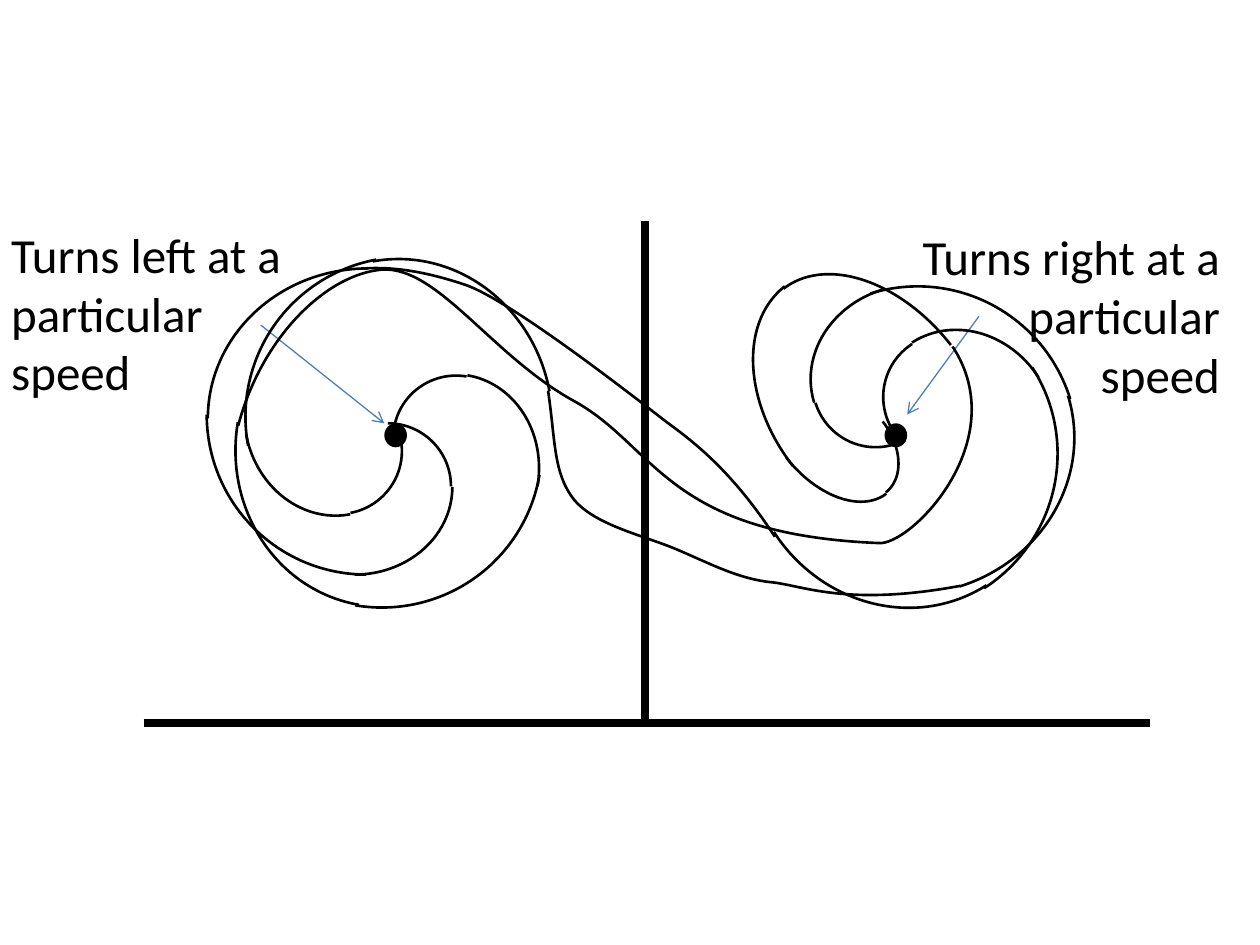
from dataclasses import dataclass
from math import cos, radians, sin

from lxml import etree
from pptx import Presentation
from pptx.dml.color import RGBColor
from pptx.enum.shapes import MSO_CONNECTOR, MSO_SHAPE
from pptx.enum.text import MSO_AUTO_SIZE, PP_ALIGN
from pptx.oxml.ns import qn
from pptx.util import Emu, Pt

ARC, OVAL = MSO_SHAPE.ARC, MSO_SHAPE.OVAL
STRAIGHT = MSO_CONNECTOR.STRAIGHT
LEFT, RIGHT = PP_ALIGN.LEFT, PP_ALIGN.RIGHT
FIT_TEXT = MSO_AUTO_SIZE.SHAPE_TO_FIT_TEXT

EMU_PER_PX = 9144  # 100 px to the inch

# Quarter arcs of a spiral: centre offset from the first arc, then size
SPIRAL_ARCS = [
    (0, 0, 100, 100),
    (-26.5, 0.5, 139, 155),
    (-17.5, -57, 253, 254),
    (-16, -54, 238, 254),
]

# Each path: two spirals (centre x, y, turn, flipped, stretch),
# then the size and the cubic points of the curve that joins them
PATHS = [
    ([(751, 315, 57.2, True, (1, 1)), (308, 386, 0, False, (1, 1))],
     (325, 213),
     [(290, 213), (309, 212), (333, 214), (369, 226), (405, 238), (507, 318),
      (529, 335), (551, 351), (581, 374), (615, 426)]),
    ([(269, 358, 79.4, False, (1, 1)), (695, 305, 342.7, True, (1, 1))],
     (327, 162),
     [(435, 310), (441, 350), (439, 376), (456, 397), (473, 417), (511, 425),
      (537, 436), (563, 447), (585, 459), (611, 462), (636, 464), (670, 482),
      (762, 465)]),
    ([(362, 348, 279.6, False, (1, 1)), (675, 354.5, 232.1, True, (0.92, 0.65))],
     (582, 217),
     [(189, 338), (207, 269), (258, 218), (303, 214), (347, 211), (390, 282),
      (455, 318), (521, 354), (528, 424), (697, 431), (722, 434), (805, 350),
      (756, 275)]),
]


@dataclass(frozen=True)
class Theme:
    ink: RGBColor = RGBColor(0x00, 0x00, 0x00)
    arrow: RGBColor = RGBColor(0x4B, 0x7E, 0xBC)
    font: str = "Calibri"
    label_size: float = 28
    axis_width: float = 4.5
    path_width: float = 1.5
    arrow_width: float = 0.75


def px(value):
    return Emu(round(value * EMU_PER_PX))


class Diagram:
    def __init__(self, slide, theme):
        self.shapes = slide.shapes
        self.theme = theme

    def line(self, start, end, color, width, arrow=False):
        connector = self.shapes.add_connector(STRAIGHT, *map(px, start + end))
        connector.line.color.rgb = color
        connector.line.width = Pt(width)
        if arrow:
            etree.SubElement(connector.line._get_or_add_ln(), qn("a:tailEnd"), type="arrow")
        etree.SubElement(connector._element.spPr, qn("a:effectLst"))

    def axis(self, start, end):
        self.line(start, end, self.theme.ink, self.theme.axis_width)

    def arrow(self, start, end):
        self.line(start, end, self.theme.arrow, self.theme.arrow_width, arrow=True)

    def dot(self, left, top, width, height):
        shape = self.shapes.add_shape(OVAL, *map(px, (left, top, width, height)))
        shape.shadow.inherit = False
        shape.fill.solid()
        shape.fill.fore_color.rgb = self.theme.ink
        shape.line.fill.background()

    def label(self, text, left, top, width, height, align):
        box = self.shapes.add_textbox(*map(px, (left, top, width, height)))
        frame = box.text_frame
        frame.word_wrap = True
        frame.auto_size = FIT_TEXT
        frame.text = text
        paragraph = frame.paragraphs[0]
        paragraph.alignment = align
        font = paragraph.runs[0].font
        font.name = self.theme.font
        font.size = Pt(self.theme.label_size)
        font.color.rgb = self.theme.ink

    def outline(self, shape):
        shape.shadow.inherit = False
        shape.fill.background()
        shape.line.color.rgb = self.theme.ink
        shape.line.width = Pt(self.theme.path_width)

    def spiral(self, center_x, center_y, turn, flipped, stretch):
        """Draw quarter arcs, each a further 90 degrees round, turned as a whole."""
        group = self.shapes.add_group_shape()
        stretch_x, stretch_y = stretch
        angle = radians(turn + 180 * flipped)
        for index, (offset_x, offset_y, width, height) in enumerate(SPIRAL_ARCS):
            dx, dy = offset_x * stretch_x, offset_y * stretch_y
            across, down = (stretch_y, stretch_x) if index % 2 else (stretch_x, stretch_y)
            width, height = width * across, height * down
            left = center_x + dx * cos(angle) - dy * sin(angle) - width / 2
            top = center_y + dx * sin(angle) + dy * cos(angle) - height / 2
            arc = group.shapes.add_shape(ARC, *map(px, (left, top, width, height)))
            arc.rotation = (turn + 90 * index) % 360
            if flipped:
                for side in ("flipH", "flipV"):
                    arc._element.spPr.find(qn("a:xfrm")).set(side, "1")
            self.outline(arc)

    def curve(self, size, points):
        """Build a freeform through the end points, then make its segments cubic."""
        builder = self.shapes.build_freeform(*map(px, points[0]))
        builder.add_line_segments([tuple(map(px, point)) for point in points[3::3]],
                                  close=False)
        shape = builder.convert_to_shape()
        shape.width, shape.height = map(px, size)
        outline = next(shape._element.iter(qn("a:path")))
        outline.set("w", str(shape.width))
        outline.set("h", str(shape.height))
        for index, segment in enumerate(outline.findall(qn("a:lnTo"))):
            segment.tag = qn("a:cubicBezTo")
            controls = points[3 * index + 1:3 * index + 3]
            for position, (x, y) in enumerate(controls):
                control = etree.Element(qn("a:pt"), x=str(px(x) - shape.left),
                                        y=str(px(y) - shape.top))
                segment.insert(position, control)
        self.outline(shape)


def main():
    presentation = Presentation()
    presentation.slide_width, presentation.slide_height = px(1000), px(750)
    slide = presentation.slides.add_slide(presentation.slide_layouts[6])
    diagram = Diagram(slide, Theme())

    diagram.axis((114, 574), (913, 574))
    diagram.axis((512, 175), (512, 574))
    for left in (305, 702):
        diagram.dot(left, 336, 18, 19)
    diagram.label("Turns right at a particular speed", 710, 175, 268, 151, RIGHT)
    diagram.label("Turns left at a particular speed", -1, 173, 275, 152, LEFT)
    diagram.arrow((207, 258), (305, 336))
    diagram.arrow((777, 251), (720, 329))

    for spirals, curve_size, curve_points in PATHS:
        for spiral in spirals:
            diagram.spiral(*spiral)
        diagram.curve(curve_size, curve_points)

    presentation.save("out.pptx")


if __name__ == "__main__":
    main()
